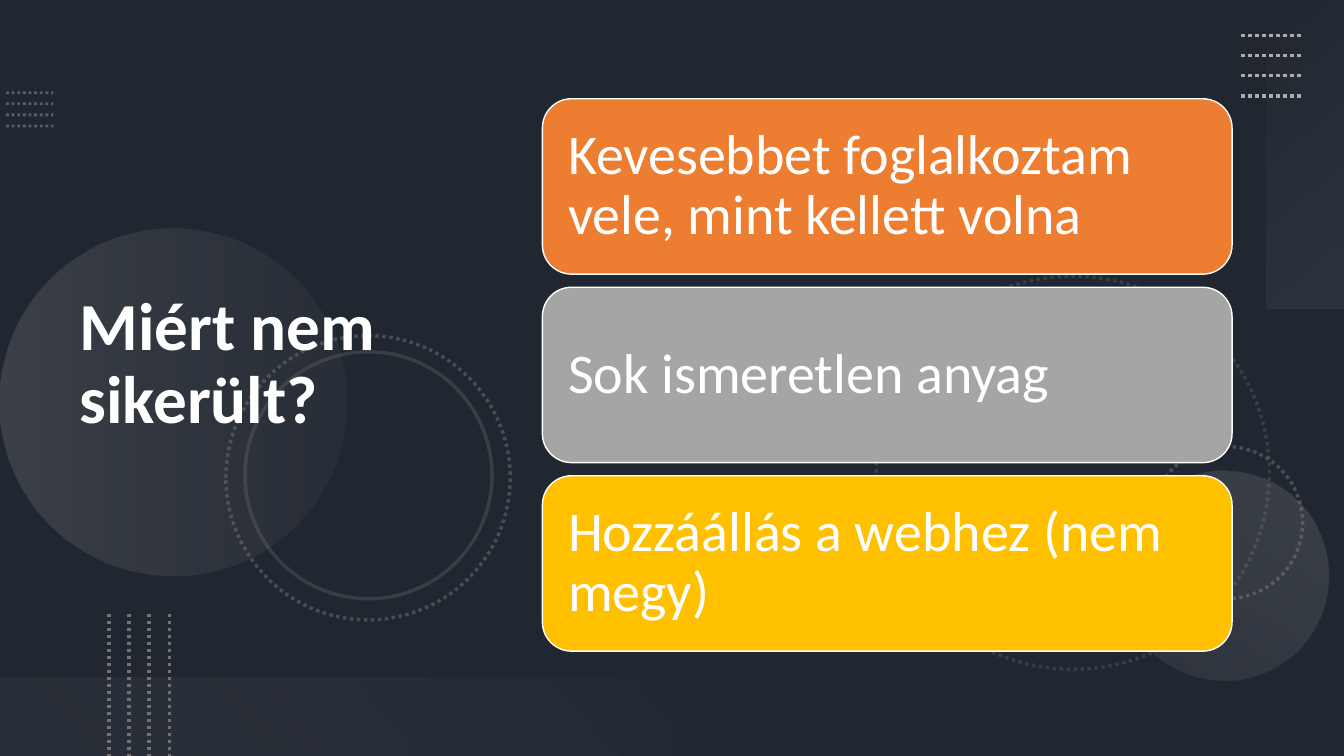
"""Build the slide that lists why the task did not succeed."""
from dataclasses import dataclass

from pptx import Presentation
from pptx.dml.color import RGBColor
from pptx.enum import dml, shapes, text
from pptx.oxml import ns, xmlchemy as xc
from pptx.util import Inches, Pt


@dataclass(frozen=True)
class Theme:
    """Hold the colours, font and type sizes of the slide."""
    back: str = "44546A"
    shade: str = "000000"
    white: str = "FFFFFF"
    blue: str = "8497B0"
    grey: str = "767171"
    silver: str = "AFABAB"
    mist: str = "F5F5F5"
    haze: str = "F1F0F0"
    cards: tuple = ("ED7D31", "A5A5A5", "FFC000")
    font: str = "Calibri"
    title: int = 48
    body: int = 40


T = Theme()
REASONS = (
    "Kevesebbet foglalkoztam vele, mint kellett volna",
    "Sok ismeretlen anyag",
    "Hozzáállás a webhez (nem megy)",
)


def rgb(code):
    """Turn a hex code into a colour."""
    return RGBColor.from_string(code)


def apply(obj, values):
    """Set every attribute named in values on obj."""
    for name, value in values.items():
        setattr(obj, name, value)


def set_alphas(shape, *percents):
    """Set the opacity of the shape's colours in document order."""
    colors = shape._element.spPr.iter(ns.qn("a:srgbClr"))
    for color, percent in zip(colors, percents):
        alpha = xc.OxmlElement("a:alpha")
        alpha.set("val", str(percent * 1000))
        color.append(alpha)


def add_shape(s, kind, box, rotation=0):
    """Add a preset shape without a shadow."""
    sp = s.shapes.add_shape(kind, *map(Inches, box))
    sp.rotation = rotation
    sp.shadow.inherit = False
    return sp


def style_line(line, color, width, dotted=True):
    """Give a line its colour, width and dash."""
    line.color.rgb = rgb(color)
    line.width = Pt(width)
    if dotted:
        line.dash_style = dml.MSO_LINE.ROUND_DOT


def add_ring(s, x, y, size, opacity, dotted=True):
    """Add an unfilled circle."""
    sp = add_shape(s, shapes.MSO_SHAPE.OVAL, (x, y, size, size))
    sp.fill.background()
    style_line(sp.line, T.grey, 2.5, dotted)
    set_alphas(sp, opacity)


def add_glow(s, kind, box, rotation, angle, *stops):
    """Add a shape with a translucent gradient of (position, colour, opacity)."""
    sp = add_shape(s, kind, box, rotation)
    sp.line.fill.background()
    sp.fill.gradient()
    sp.fill.gradient_angle = 360 - angle
    for stop, (position, color, _) in zip(sp.fill.gradient_stops, stops):
        stop.color.rgb = rgb(color)
        stop.position = position
    set_alphas(sp, *(opacity for _, _, opacity in stops))


def add_dotted_lines(s, x, y, run, step, color, width=2.5, opacity=100):
    """Add four parallel dotted lines, each running by run and offset by step."""
    for i in range(4):
        x1, y1 = x + i * step[0], y + i * step[1]
        ends = (x1, y1, x1 + run[0], y1 + run[1])
        line = s.shapes.add_connector(
            shapes.MSO_CONNECTOR.STRAIGHT, *map(Inches, ends))
        style_line(line.line, color, width)
        set_alphas(line, opacity)
        line._element.spPr.append(xc.OxmlElement("a:effectLst"))


def write(tf, words, size, bold=False):
    """Write one left-aligned paragraph in the middle of a frame."""
    apply(tf, {"word_wrap": True, "vertical_anchor": text.MSO_ANCHOR.MIDDLE,
               "auto_size": text.MSO_AUTO_SIZE.NONE})
    p = tf.paragraphs[0]
    apply(p, {"alignment": text.PP_ALIGN.LEFT, "line_spacing": 0.9})
    r = p.add_run()
    r.text = words
    apply(r.font, {"name": T.font, "size": Pt(size), "bold": bold})
    r.font.color.rgb = rgb(T.white)


def add_title(s, words):
    """Place the title above the decoration."""
    title = s.shapes.title
    names = ("left", "top", "width", "height")
    apply(title, dict(zip(names, map(Inches, (0.69, 0.54, 4.59, 6.17)))))
    write(title.text_frame, words, T.title, bold=True)
    title._element.getparent().append(title._element)


def add_card(s, y, words, color):
    """Add a rounded card holding one reason."""
    sp = add_shape(s, shapes.MSO_SHAPE.ROUNDED_RECTANGLE, (5.38, y, 6.84, 1.74))
    sp.fill.solid()
    sp.fill.fore_color.rgb = rgb(color)
    style_line(sp.line, T.white, 1, dotted=False)
    for side in ("left", "top", "right", "bottom"):
        setattr(sp.text_frame, f"margin_{side}", Inches(0.17))
    write(sp.text_frame, words, T.body)


def add_backdrop(s):
    """Fill the background and darken it."""
    s.background.fill.solid()
    s.background.fill.fore_color.rgb = rgb(T.back)
    sp = add_shape(s, shapes.MSO_SHAPE.RECTANGLE, (0, 0, 13.33, 7.5))
    sp.fill.solid()
    sp.fill.fore_color.rgb = rgb(T.shade)
    sp.line.fill.background()
    set_alphas(sp, 53)


def add_decoration(s):
    """Draw the circles, bands and dotted lines."""
    oval, rect = shapes.MSO_SHAPE.OVAL, shapes.MSO_SHAPE.RECTANGLE
    add_dotted_lines(s, 0.06, 0.92, (0.47, 0), (0, 0.11), T.blue, 2, 50)
    add_ring(s, 8.69, 2.74, 3.9, 30)
    add_ring(s, 11.41, 4.43, 1.51, 50)
    add_glow(s, oval, (0, 2.27, 3.44, 3.44), 270, 90,
             (0, T.silver, 20), (1, T.grey, 10))
    add_glow(s, oval, (11.1, 4.67, 2.08, 2.08), 210, 90,
             (0, T.silver, 10), (1, T.silver, 20))
    add_ring(s, 2.24, 3.33, 2.82, 50)
    add_ring(s, 2.43, 3.49, 2.45, 30, dotted=False)
    add_glow(s, rect, (11.42, 1.14, 3.06, 0.78), 270, 140,
             (0, T.mist, 0), (1, T.silver, 10))
    add_dotted_lines(s, 12.31, 0.35, (0.6, 0), (0, 0.2), T.silver)
    add_glow(s, rect, (0, 6.72, 6.67, 0.78), 180, 140,
             (0.1, T.grey, 10), (1, T.haze, 0))
    add_dotted_lines(s, 1.08, 6.09, (0, 1.41), (0.2, 0), T.grey)


def main():
    """Build and save the slide."""
    prs = Presentation()
    apply(prs, {"slide_width": Inches(13.33), "slide_height": Inches(7.5)})
    s = prs.slides.add_slide(prs.slide_layouts[5])
    add_backdrop(s)
    add_decoration(s)
    add_title(s, "Miért nem sikerült?")
    pitch = 1.87
    for i, (words, color) in enumerate(zip(REASONS, T.cards)):
        add_card(s, 0.98 + i * pitch, words, color)
    prs.save("out.pptx")


if __name__ == "__main__":
    main()
